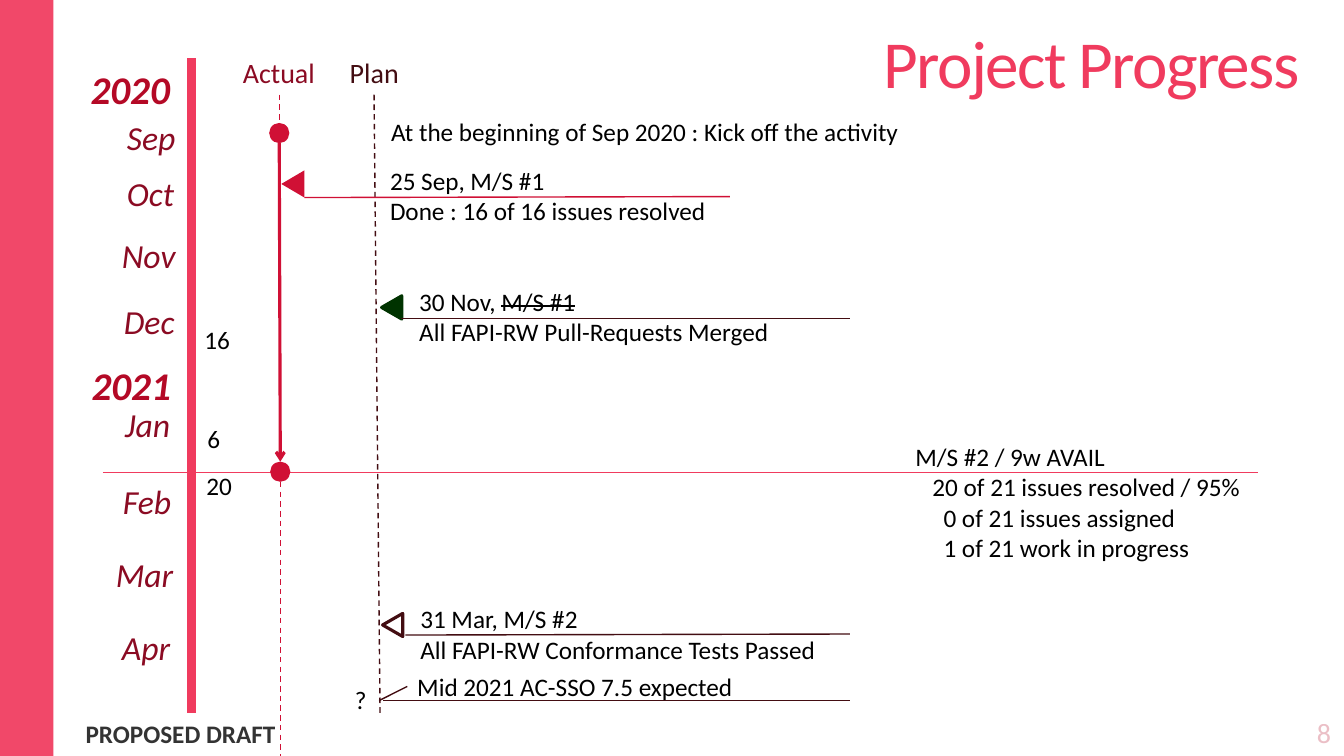
from lxml import etree
from pptx import Presentation
from pptx.dml.color import RGBColor
from pptx.enum.dml import MSO_LINE
from pptx.enum.shapes import MSO_CONNECTOR, MSO_SHAPE
from pptx.enum.text import MSO_ANCHOR, MSO_AUTO_SIZE, PP_ALIGN
from pptx.oxml.ns import qn
from pptx.util import Inches, Pt

RECTANGLE, OVAL = MSO_SHAPE.RECTANGLE, MSO_SHAPE.OVAL
TRIANGLE = MSO_SHAPE.ISOSCELES_TRIANGLE
STRAIGHT, DASH = MSO_CONNECTOR.STRAIGHT, MSO_LINE.DASH
TOP, MIDDLE, BOTTOM = MSO_ANCHOR.TOP, MSO_ANCHOR.MIDDLE, MSO_ANCHOR.BOTTOM
RIGHT = PP_ALIGN.RIGHT
FIT, FIXED = MSO_AUTO_SIZE.SHAPE_TO_FIT_TEXT, MSO_AUTO_SIZE.NONE

PINK = RGBColor(0xF0, 0x3B, 0x5E)
RED = RGBColor(0xD0, 0x10, 0x35)
CRIMSON = RGBColor(0xB4, 0x09, 0x26)
WINE = RGBColor(0x8B, 0x0B, 0x23)
DARK = RGBColor(0x43, 0x0D, 0x12)
GREEN = RGBColor(0x00, 0x33, 0x00)
BLACK = RGBColor(0x00, 0x00, 0x00)

YEAR = {"size": Pt(28), "color": CRIMSON, "bold": True, "italic": True}
MONTH = {"size": Pt(24), "color": WINE, "italic": True}


def set_opacity(element, percent):
    for color in element.iter(qn("a:srgbClr")):
        etree.SubElement(color, qn("a:alpha"), val=str(percent * 1000))


class TimelineSlide:
    font_name = "Calibri"
    base = {"size": Pt(18), "color": BLACK}

    def __init__(self, deck):
        self.page = deck.slides.add_slide(deck.slide_layouts[5])

    def format_font(self, font, style):
        for name, value in {**self.base, "name": self.font_name, **style}.items():
            if name == "color":
                font.color.rgb = value
            else:
                setattr(font, name, value)

    def title(self, words, frame):
        box = self.page.shapes.title
        for name, value in zip(("left", "top", "width", "height"), frame):
            setattr(box, name, Inches(value))
        box.text_frame.vertical_anchor = BOTTOM
        box.text_frame.auto_size = FIXED
        para = box.text_frame.paragraphs[0]
        para.alignment, para.line_spacing = RIGHT, 0.85
        span = para.add_run()
        span.text = words
        self.format_font(span.font, {"size": Pt(48), "color": PINK})
        span.font._element.set("spc", "-120")

    def text(self, lines, frame, style=None, wrap=True, anchor=TOP, align=None,
             fit=FIT, opacity=None, indents=()):
        """Each line is a string or a list of (words, extra style) pairs."""
        box = self.page.shapes.add_textbox(*map(Inches, frame))
        body = box.text_frame
        body.word_wrap, body.auto_size, body.vertical_anchor = wrap, fit, anchor
        for index, line in enumerate(lines):
            para = body.paragraphs[0] if index == 0 else body.add_paragraph()
            para.alignment = align
            if indents:
                para._p.get_or_add_pPr().set("marL", str(Inches(indents[index])))
            spans = [(line, {})] if isinstance(line, str) else line
            for words, extra in spans:
                span = para.add_run()
                span.text = words
                self.format_font(span.font, {**(style or {}), **extra})
                if "strike" in extra.get("marks", ()):
                    span.font._element.set("strike", "sngStrike")
        if opacity:
            set_opacity(box._element, opacity)

    def shape(self, kind, frame, fill=None, line=None, rotation=0, opacity=None):
        shape = self.page.shapes.add_shape(kind, *map(Inches, frame))
        shape.shadow.inherit = False
        shape.rotation = rotation
        if fill is None:
            shape.fill.background()
        else:
            shape.fill.solid()
            shape.fill.fore_color.rgb = fill
        if line is None:
            shape.line.fill.background()
        else:
            shape.line.color.rgb = line
            shape.line.width = Pt(2.25)
        if opacity:
            set_opacity(shape._element.spPr, opacity)
        return shape

    def line(self, start, end, color, width=1, dash=None, arrow=False, target=None):
        line = self.page.shapes.add_connector(STRAIGHT, *map(Inches, start + end))
        if target is not None:
            line.end_connect(target, 0)
        line.line.color.rgb = color
        line.line.width = Pt(width)
        if dash is not None:
            line.line.dash_style = dash
        if arrow:
            etree.SubElement(line.line._get_or_add_ln(), qn("a:tailEnd"), type="arrow")
        etree.SubElement(line._element.spPr, qn("a:effectLst"))


def main():
    deck = Presentation()
    deck.slide_width, deck.slide_height = Inches(13.33), Inches(7.5)
    page = TimelineSlide(deck)

    # Frame of the page
    page.shape(RECTANGLE, (0, 0, 0.53, 7.5), PINK, opacity=93)
    page.title("Project Progress", (6.07, 0.16, 6.92, 0.9))
    page.text(["8"], (12.48, 6.79, 0.82, 0.69), {"size": Pt(20), "color": CRIMSON},
              anchor=BOTTOM, align=RIGHT, fit=FIXED, opacity=25)
    page.text(["PROPOSED DRAFT"], (0.75, 7.15, 5.5, 0.25), {"bold": True},
              anchor=MIDDLE, fit=FIXED, opacity=80)

    # Calendar axis
    page.line((1.9, 0.58), (1.9, 7.07), PINK, 6)
    for year, left, top in (("2020", 0.8, 0.6), ("2021", 0.81, 3.54)):
        page.text([year], (left, top, 1.01, 0.57), YEAR)
    months = (("Sep", 1.16, 1.11, 0.68), ("Oct", 1.16, 1.67, 0.67),
              ("Nov", 1.11, 2.28, 0.73), ("Dec", 1.13, 2.94, 0.71),
              ("Jan", 1.14, 3.96, 0.65), ("Feb", 1.12, 4.72, 0.68),
              ("Mar", 1.05, 5.45, 0.77), ("Apr", 1.11, 6.17, 0.68))
    for month, left, top, width in months:
        page.text([month], (left, top, width, 0.5), MONTH, wrap=False)
    marks = (("16", 1.93, 3.17, 0.46), ("6", 1.96, 4.15, 0.33),
             ("20", 1.95, 4.62, 0.46), ("?", 3.42, 6.74, 0.32))
    for mark, left, top, width in marks:
        page.text([mark], (left, top, width, 0.4), wrap=False)

    # Actual and plan tracks
    page.text(["Actual"], (2.31, 0.5, 0.92, 0.44), {"size": Pt(20), "color": WINE})
    page.text(["Plan"], (3.37, 0.5, 0.69, 0.44), {"size": Pt(20), "color": DARK})
    page.line((1.02, 4.69), (12.48, 4.69), PINK, 0.75)
    kickoff = page.shape(OVAL, (2.67, 1.22, 0.2, 0.2), RED)
    today = page.shape(OVAL, (2.68, 4.58, 0.2, 0.2), RED)
    page.line((2.77, 0.94), (2.77, 1.22), RED, dash=DASH, target=kickoff)
    page.line((2.77, 1.42), (2.78, 4.58), RED, 2.25, arrow=True, target=today)
    page.line((2.78, 4.78), (2.78, 7.5), RED, dash=DASH)
    page.line((3.71, 0.94), (3.77, 7.11), DARK, dash=DASH)

    # Milestone flags
    page.shape(TRIANGLE, (2.77, 1.71, 0.27, 0.23), RED, rotation=270)
    page.shape(TRIANGLE, (3.77, 2.95, 0.23, 0.2), GREEN, GREEN, rotation=270)
    page.shape(TRIANGLE, (3.78, 6.1, 0.23, 0.2), line=DARK, rotation=270)
    page.line((3.02, 1.96), (7.24, 1.95), RED)
    for start, end in (((3.98, 3.16), (8.43, 3.16)), ((4.02, 6.3), (8.43, 6.29)),
                       ((3.8, 6.95), (8.43, 6.95)), ((3.76, 6.95), (4.04, 6.81))):
        page.line(start, end, DARK)

    # Milestone notes
    page.text(["At the beginning of Sep 2020 : Kick off the activity"],
              (3.78, 1.11, 5.35, 0.4))
    page.text(["25 Sep, M/S #1", "Done : 16 of 16 issues resolved"],
              (3.77, 1.59, 3.47, 0.71))
    page.text([[("30 Nov, ", {}), ("M/S #1", {"marks": ("strike",)})],
               "All FAPI-RW Pull-Requests Merged"], (4.06, 2.79, 3.77, 0.71))
    page.text(["31 Mar, M/S #2", "All FAPI-RW Conformance Tests Passed"],
              (4.07, 5.94, 4.18, 0.71))
    page.text(["Mid 2021 AC-SSO 7.5 expected"], (4.04, 6.61, 3.57, 0.4))
    page.text(["M/S #2 / 9w AVAIL", "20 of 21 issues resolved / 95%",
               "0 of 21 issues assigned", "1 of 21 work in progress"],
              (8.98, 4.33, 3.57, 1.31), indents=(0, 0.17, 0.28, 0.28))

    deck.save("out.pptx")


if __name__ == "__main__":
    main()
